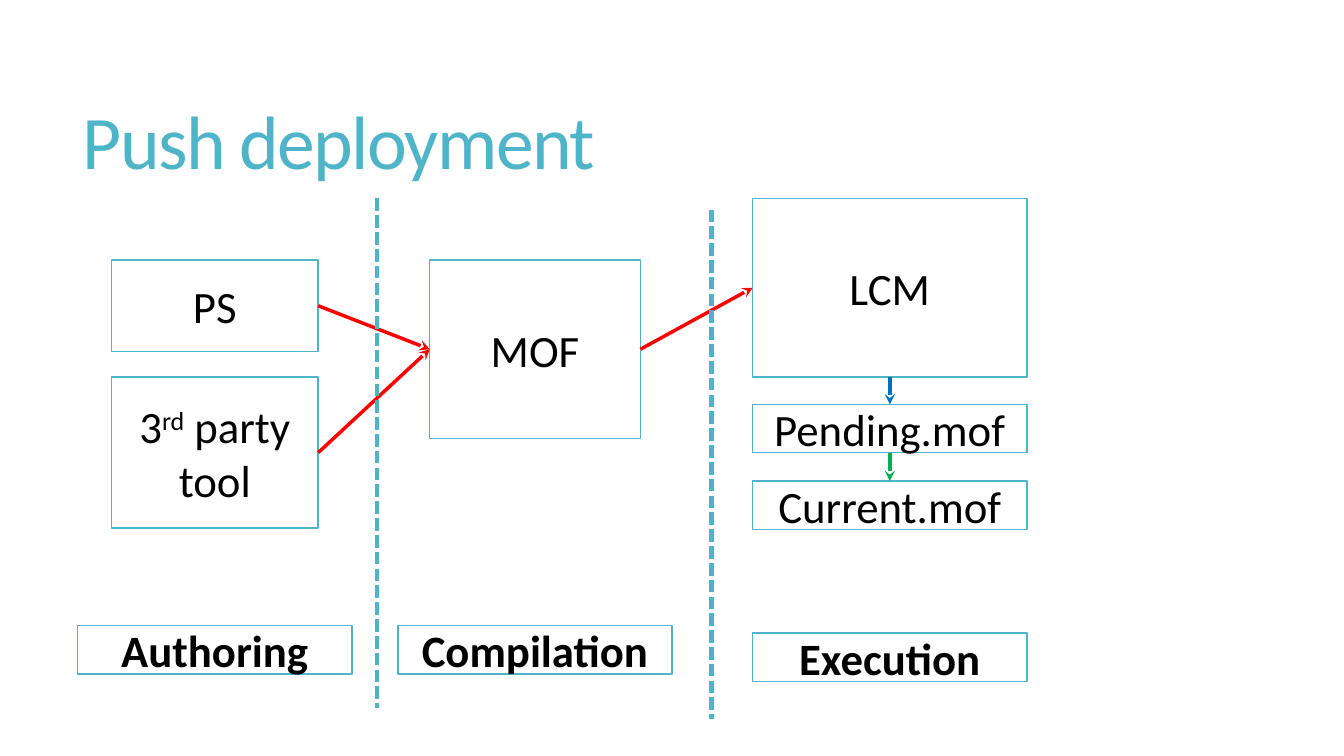
from lxml.etree import SubElement
from pptx import Presentation
from pptx.dml.color import RGBColor
from pptx.enum.dml import MSO_LINE
from pptx.enum.shapes import MSO_CONNECTOR, MSO_SHAPE
from pptx.enum.text import MSO_ANCHOR, MSO_AUTO_SIZE, PP_ALIGN
from pptx.oxml.ns import qn
from pptx.util import Cm, Pt

COLORS = {"teal": "50B4C8", "white": "FFFFFF", "black": "000000",
          "red": "FF0000", "blue": "0070C0", "green": "00B050"}
TOP, LEFT, BOTTOM, RIGHT = range(4)
LABEL_H = 1.22
COLUMN_W = 6.91


def rgb(name):
    return RGBColor.from_string(COLORS[name])


def set_attrs(obj, formats):
    for name, value in formats.items():
        setattr(obj, name, value)


def add_run(p, text, color, size, bold=False, **xml_attrs):
    r = p.add_run()
    r.text = text
    set_attrs(r.font, {"name": "Calibri", "size": Pt(size), "bold": bold})
    r.font.color.rgb = rgb(color)
    for name, value in xml_attrs.items():
        r._r.get_or_add_rPr().set(name, value)


def add_title(s, box, text):
    sp = s.shapes.title
    set_attrs(sp, dict(zip(("left", "top", "width", "height"), map(Cm, box))))
    tf = sp.text_frame
    set_attrs(tf, {"word_wrap": True, "auto_size": MSO_AUTO_SIZE.NONE,
                   "vertical_anchor": MSO_ANCHOR.MIDDLE})
    p = tf.paragraphs[0]
    set_attrs(p, {"alignment": PP_ALIGN.LEFT, "line_spacing": 0.85})
    add_run(p, text, "teal", 54, spc="-120")


def add_box(s, box, parts, bold=False):
    sp = s.shapes.add_shape(MSO_SHAPE.RECTANGLE, *map(Cm, box))
    sp.shadow.inherit = False
    sp.fill.solid()
    sp.fill.fore_color.rgb = rgb("white")
    sp.line.color.rgb = rgb("teal")
    sp.line.width = Pt(1)
    tf = sp.text_frame
    set_attrs(tf, {"word_wrap": True, "vertical_anchor": MSO_ANCHOR.MIDDLE})
    p = tf.paragraphs[0]
    p.alignment = PP_ALIGN.CENTER
    for text, xml_attrs in parts:
        add_run(p, text, "black", 32, bold, **xml_attrs)
    return sp


def add_line(s, color, width, ends=(0, 0, 0, 0)):
    cxn = s.shapes.add_connector(MSO_CONNECTOR.STRAIGHT, *map(Cm, ends))
    cxn.line.color.rgb = rgb(color)
    cxn.line.width = Pt(width)
    SubElement(cxn._element.spPr, qn("a:effectLst"))
    return cxn


def add_arrow(s, start, start_site, end, end_site, color):
    cxn = add_line(s, color, 2.5)
    cxn.begin_connect(start, start_site)
    cxn.end_connect(end, end_site)
    SubElement(cxn.line._get_or_add_ln(), qn("a:tailEnd"), type="stealth")


def add_divider(s, x, y, height):
    cxn = add_line(s, "teal", 3, (x, y, x, y + height))
    cxn.line.dash_style = MSO_LINE.SQUARE_DOT


def add_phase(s, box, label, width, steps):
    x, y, w, h = box
    inset = (w - width) / 2
    shapes = [add_box(s, (x + inset, y + dy, width, height), parts)
              for dy, height, parts in steps]
    add_box(s, (x, y + h - LABEL_H, w, LABEL_H), [(label, {})], bold=True)
    return shapes


def build_push_deployment(prs):
    s = prs.slides.add_slide(prs.slide_layouts[5])
    add_title(s, (1.83, 1.4, 29.92, 4.6), "Push deployment")
    ps, tool = add_phase(s, (1.96, 6.55, COLUMN_W, 10.44), "Authoring", 5.21, [
        (0, 2.31, [("PS", {})]),
        (2.95, 3.81, [("3", {}), ("rd", {"baseline": "30000"}), (" party tool", {})]),
    ])
    mof, = add_phase(s, (10.03, 6.55, COLUMN_W, 10.44), "Compilation", 5.31,
                     [(0, 4.5, [("MOF", {})])])
    lcm, pending, current = add_phase(s, (18.97, 5, COLUMN_W, 12.17), "Execution", COLUMN_W, [
        (0, 4.5, [("LCM", {})]),
        (5.19, LABEL_H, [("Pending.mof", {})]),
        (7.12, LABEL_H, [("Current.mof", {})]),
    ])
    for start, end in ((ps, mof), (tool, mof), (mof, lcm)):
        add_arrow(s, start, RIGHT, end, LEFT, "red")
    for start, end, color in ((lcm, pending, "blue"), (pending, current, "green")):
        add_arrow(s, start, BOTTOM, end, TOP, color)
    for x, y in ((9.5, 5), (17.93, 5.28)):
        add_divider(s, x, y, 12.84)


prs = Presentation()
set_attrs(prs, {"slide_width": Cm(33.87), "slide_height": Cm(19.05)})
build_push_deployment(prs)
prs.save("out.pptx")
